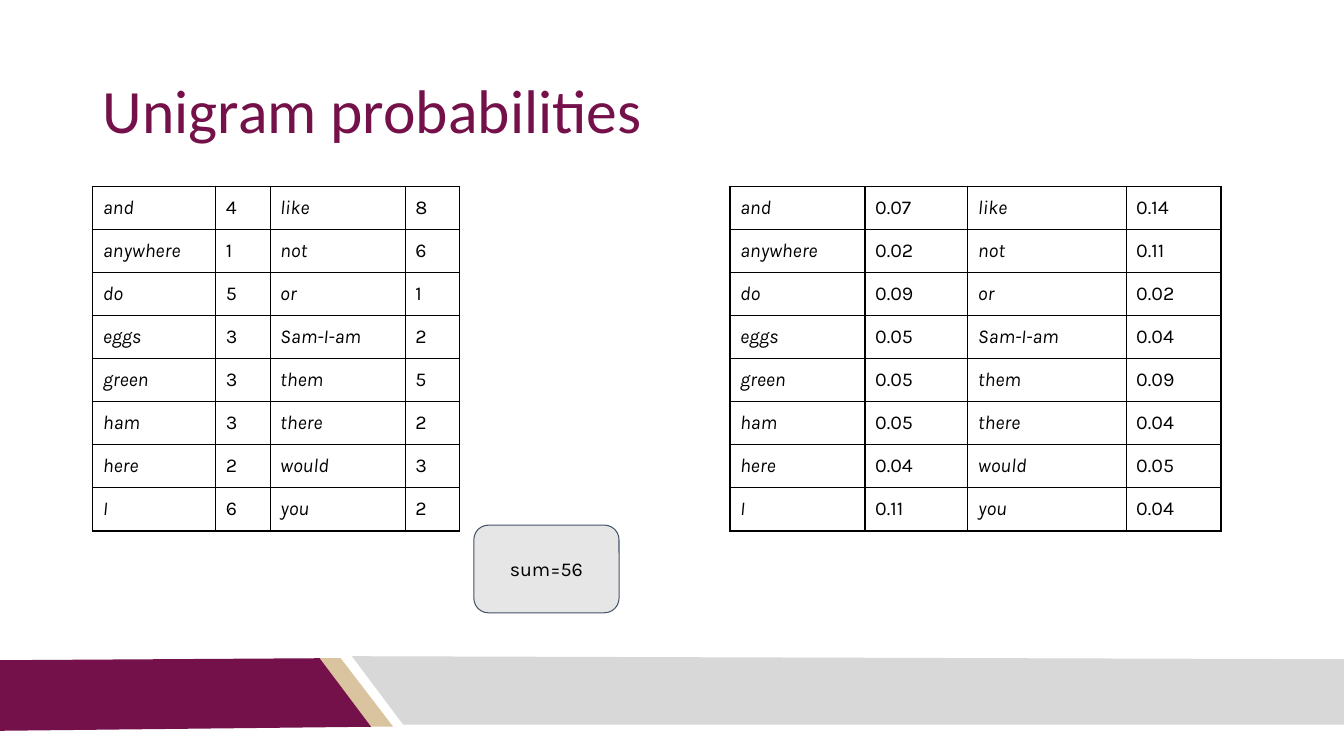
from lxml.etree import SubElement
from pptx import Presentation
from pptx.dml.color import RGBColor
from pptx.enum.shapes import MSO_SHAPE as Shape
from pptx.enum.text import MSO_ANCHOR as Anchor, MSO_AUTO_SIZE as AutoSize, PP_ALIGN as Align
from pptx.oxml.ns import qn
from pptx.util import Inches, Pt

PLUM, SAND, GREY, BLACK = "75114A", "D9C49F", "D8D8D8", "000000"
INSET = Inches(0.1)
BODY_FORMAT = {"name": "Karla", "size": Pt(14)}
TITLE_FORMAT = {"name": "Calibri", "size": Pt(44)}


def color(hex_text):
    return RGBColor.from_string(hex_text)


def format_text(frame, font_format, font_color, italic=False):
    for side in ("left", "right", "top", "bottom"):
        setattr(frame, f"margin_{side}", INSET)
    font = frame.paragraphs[0].runs[0].font
    for name, value in font_format.items():
        setattr(font, name, value)
    font.italic = italic
    font.color.rgb = color(font_color)


presentation = Presentation()
presentation.slide_width = Inches(13.33)
presentation.slide_height = Inches(7.5)
slide = presentation.slides.add_slide(presentation.slide_layouts[5])

# Footer bands
bands = [
    (SAND, [(3.16, 6.53), (3.38, 6.53), (3.9, 7.21), (3.67, 7.21)]),
    (PLUM, [(0, 6.55), (3.17, 6.53), (3.68, 7.21), (0, 7.25)]),
    (GREY, [(3.49, 6.51), (13.33, 6.54), (13.33, 7.19), (4, 7.19)]),
]
for band_color, corners in bands:
    points = [(Inches(x), Inches(y)) for x, y in corners]
    builder = slide.shapes.build_freeform(*points[0])
    builder.add_line_segments(points[1:], close=True)
    band = builder.convert_to_shape()
    band.shadow.inherit = False
    band.fill.solid()
    band.fill.fore_color.rgb = color(band_color)
    band.line.fill.background()

# Title
title = slide.shapes.title
title.left, title.top = Inches(0.92), Inches(0.4)
title.width, title.height = Inches(11.5), Inches(1.45)
title.text_frame.text = "Unigram probabilities"
title.text_frame.auto_size = AutoSize.NONE
title.text_frame.vertical_anchor = Anchor.MIDDLE
title.text_frame.paragraphs[0].alignment = Align.LEFT
title.text_frame.paragraphs[0].line_spacing = 0.9
format_text(title.text_frame, TITLE_FORMAT, PLUM)

# Word counts and the probabilities that follow from them
counts = {
    "and": 4, "anywhere": 1, "do": 5, "eggs": 3,
    "green": 3, "ham": 3, "here": 2, "I": 6,
    "like": 8, "not": 6, "or": 1, "Sam-I-am": 2,
    "them": 5, "there": 2, "would": 3, "you": 2,
}
total = sum(counts.values())
probabilities = {word: f"{count / total:.2f}" for word, count in counts.items()}

# Tables: words run down the left pair of columns, then the right pair
tables = [
    (0.92, [1.22, 0.54, 1.34, 0.54], counts),
    (7.24, [1.34, 1.02, 1.57, 0.94], probabilities),
]
row_count = len(counts) // 2
row_height = 0.42
for left, widths, values in tables:
    table = slide.shapes.add_table(
        row_count, len(widths), Inches(left), Inches(1.85),
        Inches(sum(widths)), Inches(row_height * row_count)).table
    table.first_row = table.horz_banding = False
    for column, width in zip(table.columns, widths):
        column.width = Inches(width)
    for row in table.rows:
        row.height = Inches(row_height)
    for index, entry in enumerate(values.items()):
        pair, row_index = divmod(index, row_count)
        for offset, value in enumerate(entry):
            cell = table.cell(row_index, 2 * pair + offset)
            cell.text = str(value)
            format_text(cell.text_frame, BODY_FORMAT, BLACK, italic=offset == 0)
            for side in ("left", "right", "top", "bottom"):
                setattr(cell, f"margin_{side}", INSET)
            # Borders come before the fill in the cell properties
            properties = cell._tc.get_or_add_tcPr()
            for edge in ("lnL", "lnR", "lnT", "lnB"):
                border = SubElement(properties, qn(f"a:{edge}"), w=str(Pt(1)))
                border_fill = SubElement(border, qn("a:solidFill"))
                SubElement(border_fill, qn("a:srgbClr"), val=BLACK)
            cell.fill.background()

# Sum of the counts
sum_box = slide.shapes.add_shape(
    Shape.ROUNDED_RECTANGLE, Inches(4.7), Inches(5.21), Inches(1.44), Inches(0.87))
sum_box.shadow.inherit = False
sum_box.fill.solid()
sum_box.fill.fore_color.rgb = color("E7E6E6")
sum_box.line.color.rgb = color("44546A")
sum_box.line.width = Pt(0.75)
sum_box.text_frame.text = f"sum={total}"
sum_box.text_frame.vertical_anchor = Anchor.MIDDLE
sum_box.text_frame.paragraphs[0].alignment = Align.CENTER
format_text(sum_box.text_frame, BODY_FORMAT, BLACK)

presentation.save("out.pptx")
